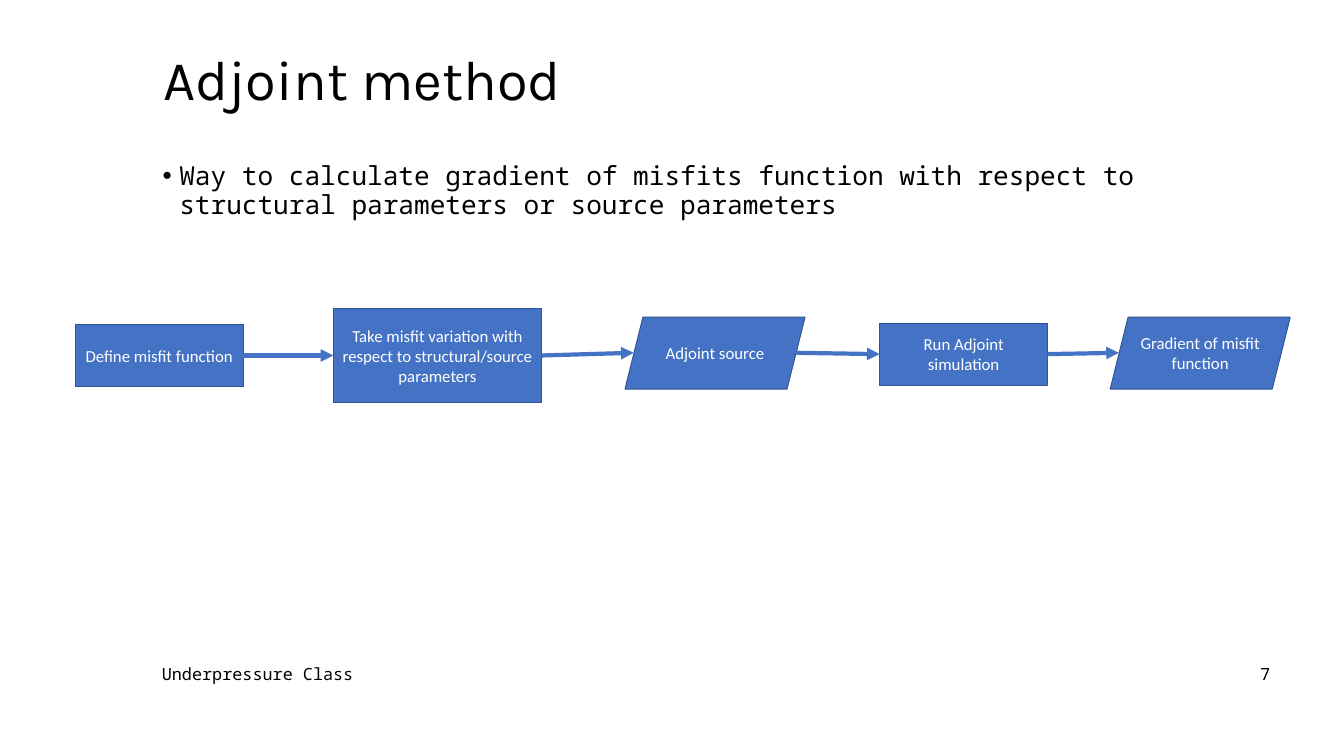
from lxml.etree import SubElement
from pptx import Presentation
from pptx.dml.color import RGBColor
from pptx.enum.shapes import MSO_CONNECTOR, MSO_SHAPE
from pptx.enum.text import MSO_ANCHOR, PP_ALIGN
from pptx.oxml.ns import qn
from pptx.util import Emu, Pt

PIXEL = 9144  # 100 px to the inch
BLUE, OUTLINE, BLACK, WHITE = "4472C4", "325491", "000000", "FFFFFF"
MONO = "Noto Sans Mono"
RECTANGLE, SLANTED = MSO_SHAPE.RECTANGLE, MSO_SHAPE.PARALLELOGRAM


def px(length):
    return Emu(length * PIXEL)


def color(value):
    return RGBColor.from_string(value)


def write(shape, text, size, font, ink, align=PP_ALIGN.LEFT, anchor=MSO_ANCHOR.MIDDLE):
    frame = shape.text_frame
    frame.word_wrap = True
    frame.vertical_anchor = anchor
    paragraph = frame.paragraphs[0]
    paragraph.text = text
    paragraph.alignment = align
    paragraph.font.size = Pt(size)
    paragraph.font.name = font
    paragraph.font.color.rgb = color(ink)
    return paragraph


def add_text(slide, box, *args, **options):
    shape = slide.shapes.add_textbox(*map(px, box))
    return write(shape, *args, **options)


def add_title(slide, box, text):
    add_text(slide, box, text, 60, "Karla", BLACK).line_spacing = 0.9


def add_bullet(slide, box, text):
    shape = slide.shapes.add_textbox(*map(px, box))
    properties = shape.text_frame.paragraphs[0]._p.get_or_add_pPr()
    properties.set("marL", str(px(25)))
    properties.set("indent", str(px(-25)))
    SubElement(properties, qn("a:buFont"), typeface="Arial")
    SubElement(properties, qn("a:buChar"), char="•")
    paragraph = write(shape, text, 28, MONO, BLACK, anchor=MSO_ANCHOR.TOP)
    paragraph.line_spacing = 0.9


def add_footer(slide, box, label, number):
    left, top, width, height = box
    half = width // 2
    add_text(slide, (left, top, half, height), label, 18, MONO, BLACK)
    add_text(slide, (left + half, top, width - half, height), number, 18, MONO, BLACK,
             align=PP_ALIGN.RIGHT)


def add_step(slide, kind, box, text):
    shape = slide.shapes.add_shape(kind, *map(px, box))
    shape.shadow.inherit = False
    shape.fill.solid()
    shape.fill.fore_color.rgb = color(BLUE)
    shape.line.color.rgb = color(OUTLINE)
    shape.line.width = Pt(1)
    write(shape, text, 18, "Calibri", WHITE, align=PP_ALIGN.CENTER)


def add_arrow(slide, start, end):
    arrow = slide.shapes.add_connector(MSO_CONNECTOR.STRAIGHT, *map(px, start + end))
    arrow.line.color.rgb = color(BLUE)
    arrow.line.width = Pt(4.5)
    SubElement(arrow.line._get_or_add_ln(), qn("a:tailEnd"), type="triangle")
    SubElement(arrow._element.spPr, qn("a:effectLst"))


def add_flow(slide, left, top, steps):
    """Draw the steps from left to right and join each to the next."""
    previous = None
    for kind, (x, y, width, height), text in steps:
        x, y = left + x, top + y
        add_step(slide, kind, (x, y, width, height), text)
        # The slanted sides meet the middle an eighth of the height inside the box
        inset = height // 8 if kind == SLANTED else 0
        middle = y + height // 2
        if previous:
            add_arrow(slide, previous, (x + inset, middle))
        previous = (x + width - inset, middle)


def main():
    presentation = Presentation()
    presentation.slide_width, presentation.slide_height = px(2000), px(1125)
    slide = presentation.slides.add_slide(presentation.slide_layouts[6])

    # Title and explanation
    add_title(slide, (233, 60, 1367, 125), "Adjoint method")
    add_bullet(slide, (232, 238, 1558, 714),
               "Way to calculate gradient of misfits function with respect to "
               "structural parameters or source parameters")

    # Flow chart
    add_flow(slide, 112, 459, [
        (RECTANGLE, (0, 24, 250, 92), "Define misfit function"),
        (RECTANGLE, (384, 0, 310, 140),
         "Take misfit variation with respect to structural/source parameters"),
        (SLANTED, (818, 13, 268, 107), "Adjoint source"),
        (RECTANGLE, (1197, 22, 250, 92), "Run Adjoint simulation"),
        (SLANTED, (1540, 13, 268, 107), "Gradient of misfit function"),
    ])

    # Footer
    add_footer(slide, (231, 983, 1669, 40), "Underpressure Class", "7")

    presentation.save("out.pptx")


if __name__ == "__main__":
    main()
